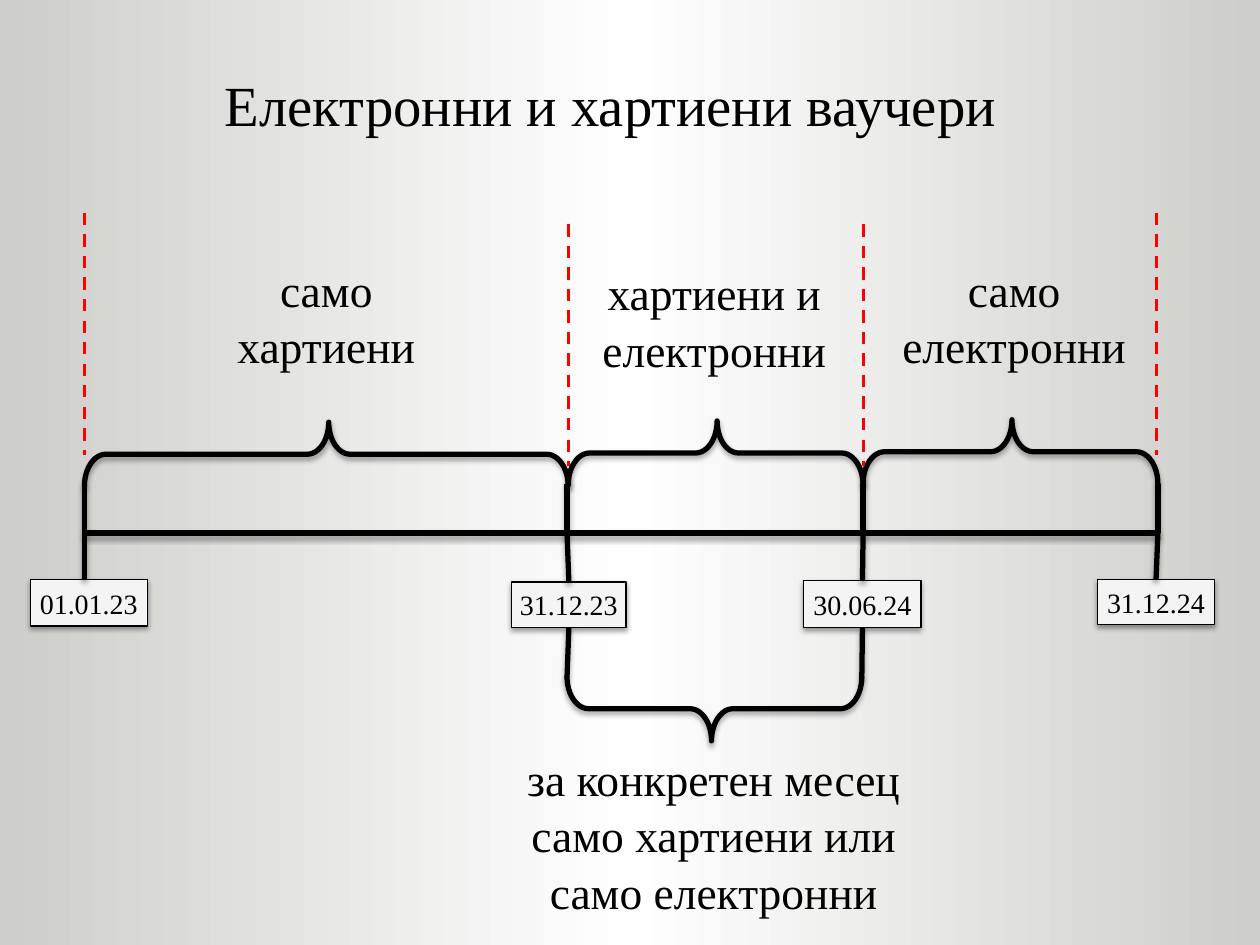
from lxml import etree
from pptx import Presentation
from pptx import util as u
from pptx.dml import color
from pptx.enum import dml, shapes, text
from pptx.oxml import ns

HUES = {"ink": "000000", "box": "F4F4F4", "cut": "FF0000",
        "edge": "CDCECA", "mid": "FFFFFF"}
FONT = "Times New Roman"
DATES = [  # label, stem x, box left, box top, box width, box height
    ("01.01.23", 0.67, 0.24, 4.6, 0.93, 0.37),
    ("31.12.23", 4.5, 4.06, 4.62, 0.91, 0.36),
    ("30.06.24", 6.85, 6.38, 4.61, 0.93, 0.37),
    ("31.12.24", 9.19, 8.71, 4.6, 0.93, 0.36),
]
AXIS = 4.23
SPANS = [  # brace box, label, label box
    ((0.67, 3.35, 3.84, 0.51), "само хартиени", (1.5, 2.01, 2.18, 0.97)),
    ((4.51, 3.34, 2.34, 0.51), "хартиени и електронни", (4.47, 2.04, 2.4, 0.97)),
    ((6.85, 3.33, 2.34, 0.51), "само електронни", (6.85, 2.01, 2.4, 0.97)),
]
CUTS = [(0.67, 1.69), (4.51, 1.78), (6.85, 1.78), (9.18, 1.69)]
NOTE = ["за конкретен месец", "само хартиени или", "само електронни"]


def rgb(name):
    return color.RGBColor.from_string(HUES[name])


def apply(item, vals):
    for key, val in vals.items():
        setattr(item, key, val)


def inch(box):
    return [u.Inches(v) for v in box]


def sub(node, tag, **vals):
    return etree.SubElement(node, ns.qn(tag), **vals)


def shade(item, alpha=None, dist=1.8):
    """Give a soft shadow below, or none when alpha is left out."""
    fx = sub(item._element.spPr, "a:effectLst")
    if alpha:
        shd = sub(fx, "a:outerShdw", blurRad=str(u.Pt(3.1)),
                  dist=str(u.Pt(dist)), dir="5400000", rotWithShape="0")
        clr = sub(shd, "a:srgbClr", val=HUES["ink"])
        sub(clr, "a:alpha", val=str(alpha * 1000))


def stroke(item, hue="ink", size=3):
    item.line.color.rgb = rgb(hue)
    item.line.width = u.Pt(size)


def line(slide, x1, y1, x2, y2):
    item = slide.shapes.add_connector(
        shapes.MSO_CONNECTOR.STRAIGHT, *inch((x1, y1, x2, y2)))
    stroke(item)
    shade(item, 35)
    return item


def cut(slide, x, top, high=1.92):
    item = slide.shapes.add_connector(
        shapes.MSO_CONNECTOR.STRAIGHT, *inch((x, top, x, top + high)))
    stroke(item, "cut", 1.75)
    item.line.dash_style = dml.MSO_LINE.DASH
    shade(item)


def write(frame, rows, size, space=None, **vals):
    apply(frame, vals)
    for i, row in enumerate(rows):
        par = frame.add_paragraph() if i else frame.paragraphs[0]
        apply(par, {"alignment": text.PP_ALIGN.CENTER, "line_spacing": space})
        run = par.add_run()
        run.text = row
        apply(run.font, {"name": FONT, "size": u.Pt(size)})
        run.font.color.rgb = rgb("ink")


def label(slide, box, rows):
    item = slide.shapes.add_textbox(*inch(box))
    write(item.text_frame, rows, 26, 1.04, word_wrap=True,
          auto_size=text.MSO_AUTO_SIZE.SHAPE_TO_FIT_TEXT,
          margin_left=u.Inches(0.09), margin_right=u.Inches(0.09))


def title(slide, box):
    item = slide.shapes.add_textbox(*inch(box))
    write(item.text_frame, ["Електронни и хартиени ваучери"], 32.4,
          word_wrap=True, vertical_anchor=text.MSO_ANCHOR.MIDDLE)


def brace(slide, box, turn=270, mid=0.505):
    """Lay a right brace on its side so that it fills the box."""
    x, y, wide, high = box
    item = slide.shapes.add_shape(
        shapes.MSO_SHAPE.RIGHT_BRACE,
        *inch((x + (wide - high) / 2, y + (high - wide) / 2, high, wide)))
    item.rotation = turn
    item.adjustments[0] = 0.334
    item.adjustments[1] = mid
    item.fill.background()
    stroke(item)
    shade(item, 35)


def date(slide, box, name):
    item = slide.shapes.add_shape(shapes.MSO_SHAPE.RECTANGLE, *inch(box))
    item.fill.solid()
    item.fill.fore_color.rgb = rgb("box")
    stroke(item, size=0.75)
    shade(item, 38, 1.6)
    write(item.text_frame, [name], 16, word_wrap=False,
          vertical_anchor=text.MSO_ANCHOR.MIDDLE)
    return item


def axis(slide):
    """Draw the time line with its stems and dates; return the date boxes."""
    line(slide, DATES[0][1], AXIS, DATES[-1][1], AXIS)
    boxes = []
    for i, (name, x, *box) in enumerate(DATES):
        item = date(slide, box, name)
        line(slide, x, 3.84, x, AXIS)
        stem = line(slide, x, AXIS, x, box[1])
        if i:  # the first stem stands left of its box's middle
            stem.end_connect(item, 0)
        boxes.append(item)
    return boxes


def choice(slide, box, ends):
    """Draw the lower brace, hung from two date boxes, and its note."""
    x, y, wide, high = box
    brace(slide, box, 90, 0.51)
    for side, item in zip((x, x + wide), ends):
        line(slide, side, 4.98, side, y + 0.01).begin_connect(item, 2)
    label(slide, (x - 1.53, y + high + 0.01, 5.39, 1.41), NOTE)


def back(slide):
    fill = slide.background.fill
    fill.gradient()
    fill.gradient_angle = 0
    stops = slide.element.xpath(".//p:bg//a:gsLst")[0]
    for old in list(stops):
        stops.remove(old)
    for pos, hue in ((0, "edge"), (50, "mid"), (100, "edge")):
        stop = sub(stops, "a:gs", pos=str(pos * 1000))
        sub(stop, "a:srgbClr", val=HUES[hue])


def main():
    deck = Presentation()
    apply(deck, {"slide_width": u.Inches(10), "slide_height": u.Inches(7.5)})
    slide = deck.slides.add_slide(deck.slide_layouts[6])
    back(slide)
    title(slide, (1.5, 0.37, 6.69, 0.91))
    boxes = axis(slide)
    for box, name, spot in SPANS:
        brace(slide, box)
        label(slide, spot, [name])
    choice(slide, (4.5, 5.37, 2.34, 0.51), boxes[1:3])
    for x, top in CUTS:
        cut(slide, x, top)
    deck.save("out.pptx")


if __name__ == "__main__":
    main()
